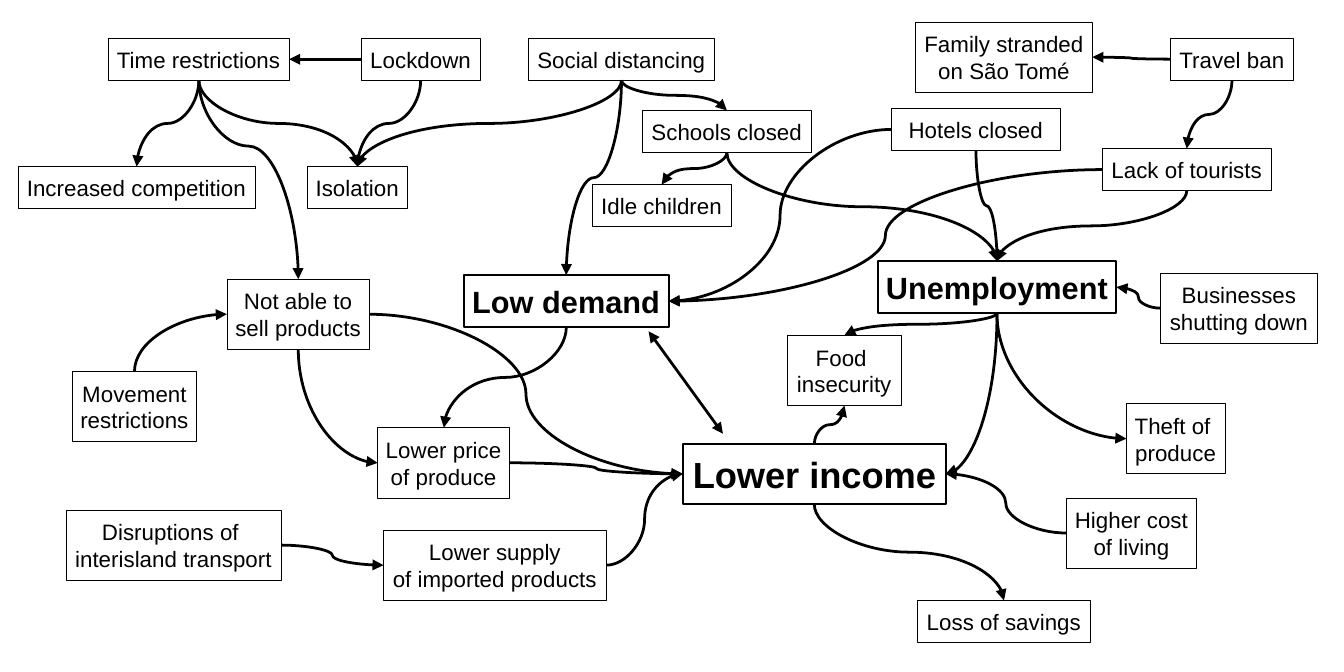
from lxml import etree
from pptx import Presentation
from pptx import util as u
from pptx.dml.color import RGBColor
from pptx.enum import shapes, text
from pptx.oxml.ns import qn

TOP, LEFT, BOTTOM, RIGHT = range(4)
BLACK = "000000"


def color(value):
    return RGBColor.from_string(value)


def style_arrow(connector, ends=("tailEnd",)):
    connector.line.color.rgb = color(BLACK)
    connector.line.width = u.Pt(1)
    properties = connector._element.spPr
    for end in ends:
        etree.SubElement(properties.find(qn("a:ln")), qn("a:" + end),
                         type="triangle", w="sm", len="sm")
    etree.SubElement(properties, qn("a:effectLst"))


deck = Presentation()
deck.slide_width, deck.slide_height = u.Cm(17), u.Cm(8.5)
page = deck.slides.add_slide(deck.slide_layouts[6])

# Causes and effects: key, text, left, top, width
factors = [
    ("lockdown", "Lockdown", 1.8, 0.19, 0.59),
    ("distancing", "Social distancing", 2.63, 0.19, 0.93),
    ("time", "Time restrictions", 0.54, 0.19, 0.9),
    ("travel", "Travel ban", 5.83, 0.19, 0.61),
    ("competition", "Increased competition", 0.09, 0.83, 1.18),
    ("isolation", "Isolation", 1.53, 0.83, 0.5),
    ("idle", "Idle children", 2.95, 0.92, 0.69),
    ("schools", "Schools closed", 3.2, 0.55, 0.84),
    ("transport", "Disruptions of \ninterisland transport", 0.33, 2.54, 1.07),
    ("supply", "Lower supply\nof imported products", 1.91, 2.64, 1.11),
    ("income", "Lower income", 3.4, 2.21, 1.31),
    ("cost", "Higher cost\nof living", 5.31, 2.48, 0.65),
    ("family", "Family stranded\non São Tomé", 4.56, 0.11, 0.88),
    ("tourists", "Lack of tourists", 5.49, 0.74, 0.84),
    ("unemployment", "Unemployment", 4.37, 1.3, 1.19),
    ("demand", "Low demand", 2.31, 1.37, 1.02),
    ("hotels", "Hotels closed", 4.44, 0.54, 0.84),
    ("theft", "Theft of \nproduce", 5.61, 2.01, 0.49),
    ("food", "Food \ninsecurity", 3.92, 1.67, 0.57),
    ("businesses", "Businesses\nshutting down", 5.78, 1.36, 0.78),
    ("unsold", "Not able to\nsell products", 1.13, 1.39, 0.71),
    ("price", "Lower price\nof produce", 1.88, 2.13, 0.66),
    ("savings", "Loss of savings", 4.57, 2.99, 0.86),
    ("movement", "Movement\nrestrictions", 0.36, 1.85, 0.62),
]
# Central problems: text size and box height
central = {"income": (13, 0.3), "unemployment": (11, 0.26), "demand": (11, 0.26)}

boxes = {}
for key, label, left, top, width in factors:
    size, height = central.get(key, (8, 0.35 if "\n" in label else 0.21))
    box = page.shapes.add_shape(
        shapes.MSO_SHAPE.RECTANGLE,
        u.Inches(left), u.Inches(top), u.Inches(width), u.Inches(height))
    box.shadow.inherit = False
    box.fill.background()
    box.line.color.rgb = color(BLACK)
    box.line.width = u.Pt(0.75 if key in central else 0.25)
    frame = box.text_frame
    frame.margin_left = frame.margin_right = u.Inches(0.04)
    frame.margin_top = frame.margin_bottom = u.Inches(0.04)
    frame.word_wrap = False
    frame.auto_size = text.MSO_AUTO_SIZE.NONE
    frame.vertical_anchor = text.MSO_ANCHOR.MIDDLE
    para = frame.paragraphs[0]
    para.text = label
    para.alignment = text.PP_ALIGN.CENTER
    para.font.name = "Arial"
    para.font.size = u.Pt(size)
    para.font.bold = key in central
    para.font.color.rgb = color(BLACK)
    boxes[key] = box

# Curved arrows: cause, side it leaves, effect, side it reaches
links = [
    ("lockdown", BOTTOM, "isolation", TOP),
    ("distancing", BOTTOM, "isolation", TOP),
    ("time", BOTTOM, "isolation", TOP),
    ("time", BOTTOM, "competition", TOP),
    ("time", BOTTOM, "unsold", TOP),
    ("distancing", BOTTOM, "schools", TOP),
    ("distancing", BOTTOM, "demand", TOP),
    ("schools", BOTTOM, "idle", TOP),
    ("schools", BOTTOM, "unemployment", TOP),
    ("transport", RIGHT, "supply", LEFT),
    ("supply", RIGHT, "income", LEFT),
    ("travel", LEFT, "family", RIGHT),
    ("travel", BOTTOM, "tourists", TOP),
    ("hotels", BOTTOM, "unemployment", TOP),
    ("hotels", LEFT, "demand", RIGHT),
    ("tourists", BOTTOM, "unemployment", TOP),
    ("tourists", LEFT, "demand", RIGHT),
    ("businesses", LEFT, "unemployment", RIGHT),
    ("cost", LEFT, "income", RIGHT),
    ("unemployment", BOTTOM, "income", RIGHT),
    ("unemployment", BOTTOM, "theft", LEFT),
    ("unemployment", BOTTOM, "food", TOP),
    ("income", TOP, "food", BOTTOM),
    ("income", BOTTOM, "savings", TOP),
    ("movement", TOP, "unsold", LEFT),
    ("unsold", BOTTOM, "price", LEFT),
    ("unsold", RIGHT, "income", LEFT),
    ("demand", BOTTOM, "price", TOP),
    ("price", RIGHT, "income", LEFT),
]
bends = {("time", "unsold"): 33100}

for cause, start_side, effect, end_side in links:
    arrow = page.shapes.add_connector(shapes.MSO_CONNECTOR.CURVE, 0, 0, 0, 0)
    arrow.begin_connect(boxes[cause], start_side)
    arrow.end_connect(boxes[effect], end_side)
    geometry = arrow._element.spPr.find(qn("a:prstGeom"))
    if start_side % 2 != end_side % 2:
        geometry.set("prst", "curvedConnector2")
    if (cause, effect) in bends:
        etree.SubElement(geometry.find(qn("a:avLst")), qn("a:gd"),
                         name="adj1", fmla=f"val {bends[cause, effect]}")

    # Turn the curves that leave upwards or downwards by a quarter
    if start_side in (TOP, BOTTOM):
        across = arrow.end_x - arrow.begin_x
        down = arrow.end_y - arrow.begin_y
        middle_x = (arrow.begin_x + arrow.end_x) // 2
        middle_y = (arrow.begin_y + arrow.end_y) // 2
        arrow.width, arrow.height = abs(down), abs(across)
        arrow.left = middle_x - abs(down) // 2
        arrow.top = middle_y - abs(across) // 2
        down_right = across > 0 and down > 0
        transform = arrow._element.spPr.find(qn("a:xfrm"))
        transform.set("rot", str((270 if down_right else 90) * 60000))
        transform.set("flipH", str(int(down < 0 or down_right)))
        transform.set("flipV", str(int(across > 0 and down < 0)))
    style_arrow(arrow)

# Straight arrows
lockdown_arrow = page.shapes.add_connector(shapes.MSO_CONNECTOR.STRAIGHT, 0, 0, 0, 0)
lockdown_arrow.begin_connect(boxes["lockdown"], LEFT)
lockdown_arrow.end_connect(boxes["time"], RIGHT)
style_arrow(lockdown_arrow)

feedback_arrow = page.shapes.add_connector(
    shapes.MSO_CONNECTOR.STRAIGHT,
    u.Inches(3.23), u.Inches(1.65), u.Inches(3.6), u.Inches(2.16))
style_arrow(feedback_arrow, ("headEnd", "tailEnd"))

deck.save("out.pptx")
